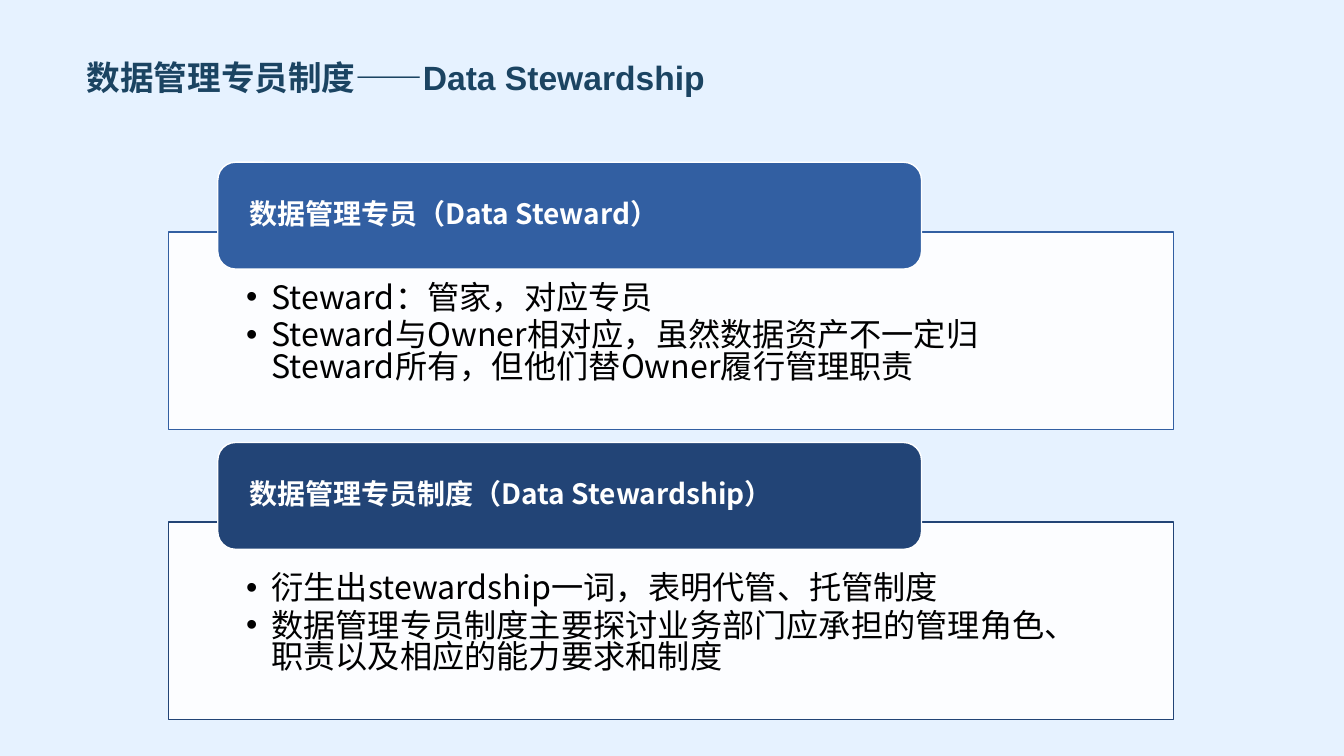
from dataclasses import dataclass

from lxml import etree
from pptx import Presentation
from pptx.dml.color import RGBColor
from pptx.enum.shapes import MSO_SHAPE
from pptx.enum.text import MSO_ANCHOR, MSO_AUTO_SIZE, PP_ALIGN
from pptx.oxml.ns import qn
from pptx.util import Inches, Pt

ROUNDED = MSO_SHAPE.ROUNDED_RECTANGLE
TOP, MIDDLE = MSO_ANCHOR.TOP, MSO_ANCHOR.MIDDLE
LEFT = PP_ALIGN.LEFT
NO_AUTOFIT = MSO_AUTO_SIZE.NONE


@dataclass(frozen=True)
class Theme:
    background: str = "E6F2FF"
    title: str = "1B4462"
    white: str = "FFFFFF"
    body: str = "000000"
    blue: str = "325FA2"
    navy: str = "224476"
    latin_font: str = "Arial"
    cjk_font: str = "Noto Sans CJK SC"
    title_size: int = 24
    heading_size: int = 20
    body_size: int = 23


class SlideBuilder:
    def __init__(self, presentation, theme):
        self.theme = theme
        self.slide = presentation.slides.add_slide(presentation.slide_layouts[3])
        background = self.slide.background.fill
        background.solid()
        background.fore_color.rgb = RGBColor.from_string(theme.background)

    def place(self, shape, left, top, width, height):
        box = {"left": left, "top": top, "width": width, "height": height}
        for side, inches in box.items():
            setattr(shape, side, Inches(inches))

    def paint(self, shape, fill, outline, opacity=100):
        shape.fill.solid()
        shape.fill.fore_color.rgb = RGBColor.from_string(fill)
        if opacity < 100:
            color = shape.element.spPr.find(qn("a:solidFill"))[0]
            etree.SubElement(color, qn("a:alpha"), val=str(opacity * 1000))
        shape.line.color.rgb = RGBColor.from_string(outline)
        shape.line.width = Pt(1)

    def frame(self, shape, anchor, left, top, right, bottom):
        layout = {
            "word_wrap": True,
            "auto_size": NO_AUTOFIT,
            "vertical_anchor": anchor,
            "margin_left": Inches(left),
            "margin_top": Inches(top),
            "margin_right": Inches(right),
            "margin_bottom": Inches(bottom),
        }
        for name, value in layout.items():
            setattr(shape.text_frame, name, value)

    def add_text(self, paragraph, text, size, color, latin, bold=False, **spacing):
        spacing = {"alignment": LEFT, "space_before": Pt(0), **spacing}
        for name, value in spacing.items():
            setattr(paragraph, name, value)
        run = paragraph.add_run()
        run.text = text
        for name, value in {"size": Pt(size), "bold": bold, "name": latin}.items():
            setattr(run.font, name, value)
        run.font.color.rgb = RGBColor.from_string(color)
        east_asian = etree.SubElement(run._r.get_or_add_rPr(), qn("a:ea"))
        east_asian.set("typeface", self.theme.cjk_font)

    def title(self, text):
        theme = self.theme
        title = self.slide.shapes.title
        self.place(title, 0.76, 0.39, 11.81, 0.79)
        self.frame(title, MIDDLE, 0.1, 0.05, 0.1, 0.05)
        self.add_text(title.text_frame.paragraphs[0], text, theme.title_size,
                      theme.title, theme.latin_font, bold=True, line_spacing=0.9)

    def panel(self, index, top, accent, points):
        theme = self.theme
        panel = self.slide.placeholders[index]
        self.place(panel, 1.67, top, 9.97, 1.96)
        self.paint(panel, theme.white, accent, opacity=90)
        self.frame(panel, TOP, 0.77, 0.52, 0.77, 0.18)
        for number, point in enumerate(points):
            body = panel.text_frame
            paragraph = body.add_paragraph() if number else body.paragraphs[0]
            properties = paragraph._p.get_or_add_pPr()
            properties.set("marL", str(Inches(0.25)))
            properties.set("indent", str(Inches(-0.25)))
            etree.SubElement(properties, qn("a:buChar"), char="•")
            self.add_text(paragraph, point, theme.body_size, theme.body,
                          theme.cjk_font, line_spacing=0.82, space_after=Pt(4))

    def heading(self, top, accent, text):
        theme = self.theme
        heading = self.slide.shapes.add_shape(
            ROUNDED, Inches(2.16), Inches(top), Inches(6.98), Inches(1.06))
        heading.shadow.inherit = False
        self.paint(heading, accent, theme.white)
        self.frame(heading, MIDDLE, 0.26, 0, 0.26, 0)
        self.add_text(heading.text_frame.paragraphs[0], text, theme.heading_size,
                      theme.white, theme.cjk_font, bold=True, line_spacing=0.9)


def main():
    presentation = Presentation()
    presentation.slide_width = Inches(13.33)
    presentation.slide_height = Inches(7.5)
    theme = Theme()
    builder = SlideBuilder(presentation, theme)
    builder.title("数据管理专员制度——Data Stewardship")
    sections = [
        (1.61, 2.3, theme.blue, "数据管理专员（Data Steward）", [
            "Steward：管家，对应专员",
            "Steward与Owner相对应，虽然数据资产不一定归Steward所有，但他们替Owner履行管理职责",
        ]),
        (4.39, 5.18, theme.navy, "数据管理专员制度（Data Stewardship）", [
            "衍生出stewardship一词，表明代管、托管制度",
            "数据管理专员制度主要探讨业务部门应承担的管理角色、职责以及相应的能力要求和制度",
        ]),
    ]
    for index, (heading_top, panel_top, accent, heading, points) in enumerate(sections, 1):
        builder.panel(index, panel_top, accent, points)
        builder.heading(heading_top, accent, heading)
    presentation.save("out.pptx")


if __name__ == "__main__":
    main()
